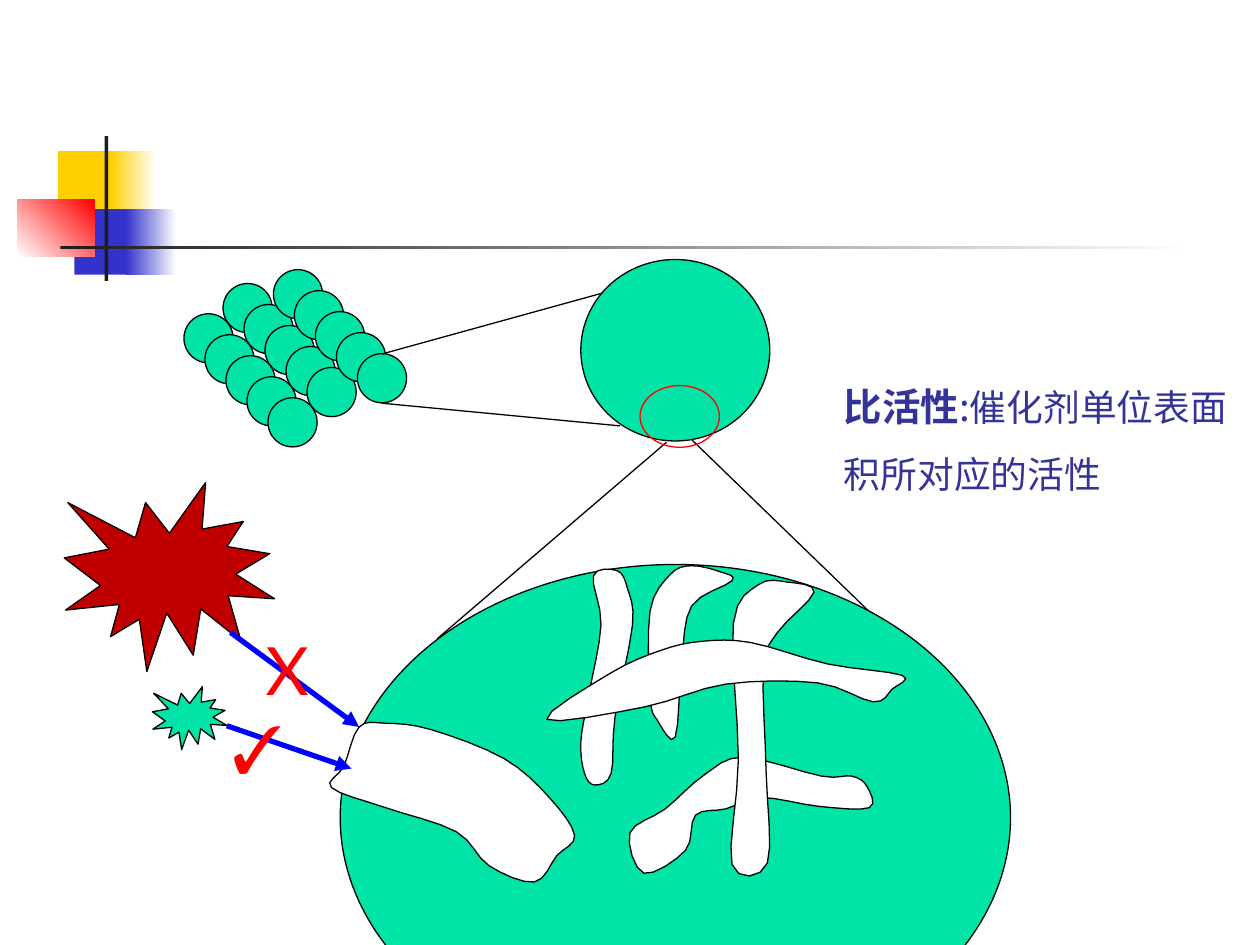
"""Build the slide on the specific activity of a catalyst."""
import dataclasses

import lxml.etree
import pptx
import pptx.dml.color
import pptx.enum.shapes
import pptx.enum.text
import pptx.oxml.ns
import pptx.util

Inches = pptx.util.Inches
KINDS = pptx.enum.shapes.MSO_SHAPE
FIT = pptx.enum.text.MSO_AUTO_SIZE.SHAPE_TO_FIT_TEXT


@dataclasses.dataclass(frozen=True)
class Theme:
    """Hold the colours, fonts and sizes of the slide."""
    gold: str = "FFCF01"
    blue: str = "3333CC"
    red: str = "FF0000"
    dark: str = "1C1C1C"
    white: str = "FFFFFF"
    black: str = "000000"
    green: str = "00E4A8"
    maroon: str = "C00000"
    arrow: str = "0000FF"
    navy: str = "333399"
    latin: str = "Lato"
    serif: str = "Times New Roman"
    hans: str = "Noto Sans CJK SC"
    mark: int = 38
    term: int = 22
    body: int = 21
    thin: float = 0.75
    thick: float = 3


THEME = Theme()

PORES = [
    [(4.71, 4.57), (4.77, 4.96), (4.67, 5.53), (4.61, 5.89), (4.64, 6.14), (4.72, 6.23),
     (4.85, 6.14), (4.88, 5.7), (5.02, 4.96), (4.98, 4.67), (4.9, 4.53)],
    [(6.76, 6.16), (6.52, 6.16), (5.9, 6.01), (5.59, 6.15), (5.28, 6.42), (5, 6.61),
     (5.11, 6.93), (5.44, 6.75), (5.52, 6.47), (5.76, 6.42), (6.04, 6.33), (6.5, 6.4),
     (6.9, 6.41), (6.88, 6.24)],
    [(6.02, 4.64), (5.82, 4.95), (5.86, 6.03), (5.81, 6.86), (6.09, 6.85), (6.08, 6.12),
     (6.06, 5.3), (6.17, 5.02), (6.46, 4.7), (6.25, 4.62)],
    [(5.81, 4.61), (5.72, 4.54), (5.49, 4.49), (5.32, 4.56), (5.16, 4.85), (5.16, 5.53),
     (5.22, 5.72), (5.36, 5.85), (5.41, 5.26), (5.49, 4.81)],
    [(4.34, 5.71), (4.85, 5.34), (5.25, 5.16), (5.57, 5.09), (5.96, 5.1), (6.57, 5.27),
     (7.16, 5.36), (7.08, 5.47), (6.93, 5.57), (6.49, 5.42), (5.76, 5.43), (5.12, 5.61)],
    [(2.85, 5.77), (3.06, 5.74), (3.42, 5.79), (4, 6.02), (4.36, 6.33), (4.56, 6.63),
     (4.42, 6.79), (4.24, 7), (3.88, 6.87), (3.62, 6.6), (3.06, 6.41), (2.63, 6.25),
     (2.73, 6.08)],
]


def style(item, form):
    """Set every value of a format dict on an object."""
    for name, value in form.items():
        setattr(item, name, value)


def color(code):
    """Turn a hex code into a colour."""
    return pptx.dml.color.RGBColor.from_string(code)


def child(node, tag, **attrs):
    """Add a drawing element to a node."""
    lxml.etree.SubElement(node, pptx.oxml.ns.qn(tag), attrs)


def paint(shape, fill, edge=None):
    """Give a shape its fill and outline."""
    shape.shadow.inherit = False
    if fill:
        shape.fill.solid()
        shape.fill.fore_color.rgb = color(fill)
    else:
        shape.fill.background()
    if edge:
        shape.line.color.rgb = color(edge)
        shape.line.width = pptx.util.Pt(THEME.thin)
    else:
        shape.line.fill.background()


def draw(slide, kind, box, fill, edge=THEME.black):
    """Add a preset shape."""
    shape = slide.shapes.add_shape(kind, *map(Inches, box))
    paint(shape, fill, edge)
    return shape


def fade(slide, box, first, last, angle=0):
    """Add a rectangle that fades between two colours."""
    fill = draw(slide, KINDS.RECTANGLE, box, first, None).fill
    fill.gradient()
    fill.gradient_angle = angle
    for stop, code in zip(fill.gradient_stops, (first, last)):
        stop.color.rgb = color(code)


def link(slide, ends, code=THEME.black, width=THEME.thin, head=False):
    """Add a straight line, with an arrowhead if asked."""
    line = slide.shapes.add_connector(pptx.enum.shapes.MSO_CONNECTOR.STRAIGHT,
                                      *map(Inches, ends))
    line.line.color.rgb = color(code)
    line.line.width = pptx.util.Pt(width)
    if head:
        child(line.line._get_or_add_ln(), "a:tailEnd", type="triangle")
    child(line._element.spPr, "a:effectLst")


def blend(a, b, c, d, t):
    """Find a place between b and c on a smooth curve."""
    return b + t / 2 * (c - a + t * (2 * a - 5 * b + 4 * c - d + t * (3 * (b - c) + d - a)))


def smooth(points, steps=4):
    """Round off a closed outline."""
    count = len(points)
    for spot in range(count):
        near = [points[(spot + shift) % count] for shift in (-1, 0, 1, 2)]
        for step in range(steps):
            yield tuple(Inches(blend(*axis, step / steps)) for axis in zip(*near))


def trace(slide, points):
    """Add a closed white pore."""
    start, *rest = smooth(points)
    pen = slide.shapes.build_freeform(*start)
    pen.add_line_segments(rest, close=True)
    paint(pen.convert_to_shape(), THEME.white, THEME.black)


def write(slide, box, runs, code, wrap=True):
    """Add a text box with one paragraph and return the paragraph."""
    frame = slide.shapes.add_textbox(*map(Inches, box)).text_frame
    style(frame, {"word_wrap": wrap, "auto_size": FIT})
    para = frame.paragraphs[0]
    for text, face, size, bold in runs:
        run = para.add_run()
        run.text = text
        run.font.color.rgb = color(code)
        style(run.font, {"name": face, "size": pptx.util.Pt(size), "bold": bold})
        child(run.font._element, "a:ea", typeface=face)
    return para


def banner(slide):
    """Draw the coloured blocks and rules at the top."""
    rect = KINDS.RECTANGLE
    draw(slide, rect, (0.46, 1.2, 0.48, 0.52), THEME.gold, None)
    fade(slide, (0.88, 1.2, 0.36, 0.52), THEME.gold, THEME.white)
    draw(slide, rect, (0.59, 1.66, 0.46, 0.52), THEME.blue, None)
    fade(slide, (1, 1.66, 0.4, 0.52), THEME.blue, THEME.white)
    fade(slide, (0.14, 1.58, 0.61, 0.46), THEME.white, THEME.red, 45)
    draw(slide, rect, (0.83, 1.08, 0.03, 1.15), THEME.dark, None)
    fade(slide, (0.48, 1.95, 9, 0.03), THEME.dark, THEME.white)


def grains(slide):
    """Draw the packed grains and the two enlarged views."""
    for left, top in ((1.77, 2.25), (2.17, 2.14), (1.46, 2.49)):
        for step in range(5):
            shift = step / 6
            draw(slide, KINDS.OVAL, (left + shift, top + shift, 0.39, 0.39), THEME.green)
    link(slide, (3.03, 2.81, 4.84, 2.31))
    link(slide, (3.03, 3.2, 4.92, 3.38))
    draw(slide, KINDS.OVAL, (4.61, 2.06, 1.5, 1.44), THEME.green)
    link(slide, (5.29, 3.51, 3.47, 5.07))
    link(slide, (5.49, 3.49, 7.38, 5.32))
    draw(slide, KINDS.OVAL, (5.08, 3.06, 0.63, 0.49), None, THEME.red)
    draw(slide, KINDS.OVAL, (2.7, 4.48, 5.32, 4.02), THEME.green)


def main():
    """Build and save the slide."""
    deck = pptx.Presentation()
    style(deck, {"slide_width": Inches(10), "slide_height": Inches(7.5)})
    slide = deck.slides.add_slide(deck.slide_layouts[6])
    banner(slide)
    grains(slide)
    for points in PORES:
        trace(slide, points)
    draw(slide, KINDS.EXPLOSION1, (1.21, 5.45, 0.59, 0.5), THEME.green)
    draw(slide, KINDS.EXPLOSION1, (0.51, 3.83, 1.67, 1.5), THEME.maroon)
    for ends in ((1.8, 5.76, 2.79, 6.1), (1.83, 5.02, 2.85, 5.77)):
        link(slide, ends, THEME.arrow, THEME.thick, True)
    write(slide, (1.75, 5.56, 0.62, 0.74), [("✓", THEME.serif, THEME.mark, False)],
          THEME.red, False)
    write(slide, (2.01, 4.94, 0.71, 0.74), [("X", THEME.latin, THEME.mark, False)], THEME.red)
    para = write(slide, (6.1, 2.81, 3.77, 1.1),
                 [("比活性", THEME.hans, THEME.term, True),
                  (":", THEME.hans, THEME.term, False),
                  ("催化剂单位表面积所对应的活性", THEME.hans, THEME.body, False)], THEME.navy)
    style(para, {"level": 1, "line_spacing": 1.5})
    para._p.get_or_add_pPr().set("marL", str(Inches(0.5)))
    deck.save("out.pptx")


if __name__ == "__main__":
    main()
